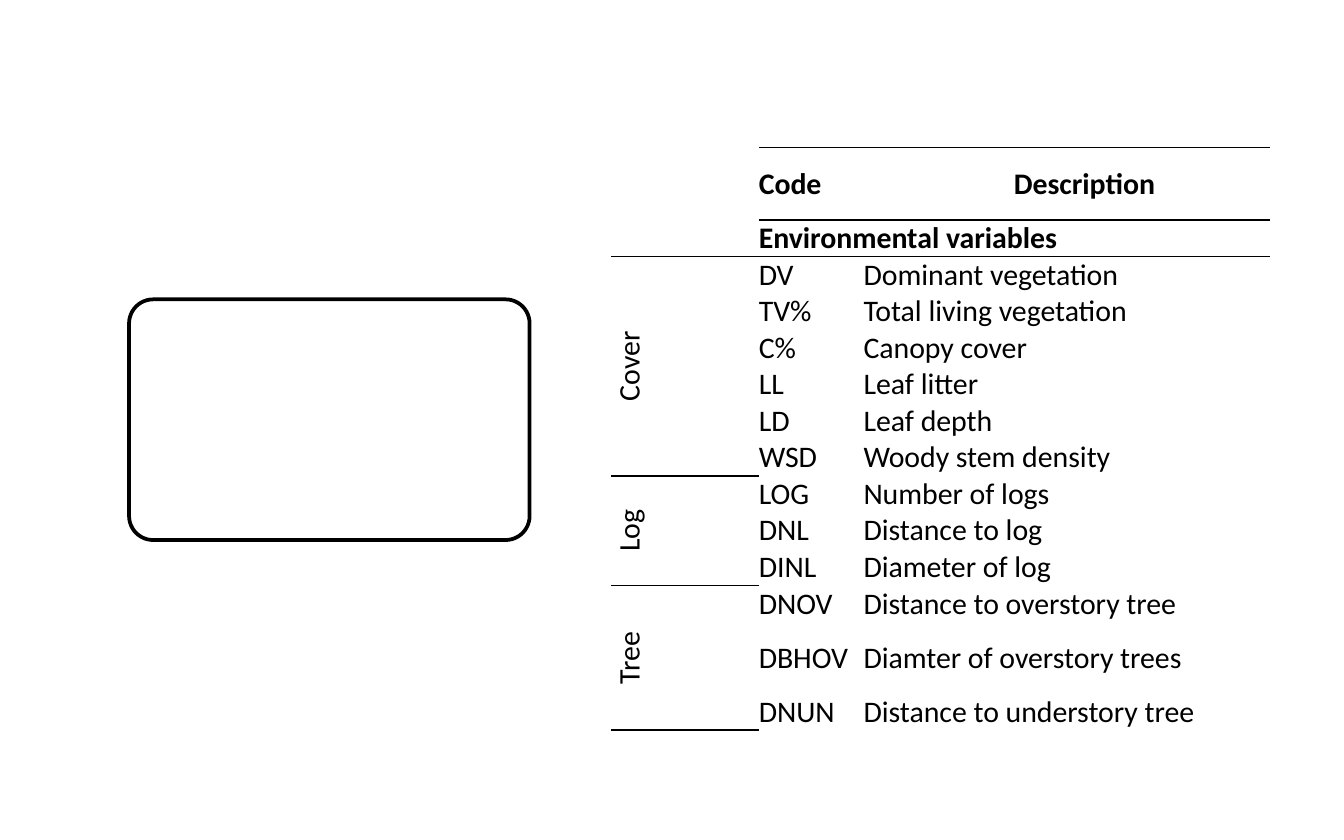
from lxml.etree import SubElement
from pptx import Presentation
from pptx.dml.color import RGBColor
from pptx.enum.shapes import MSO_SHAPE
from pptx.enum.text import MSO_ANCHOR, PP_ALIGN
from pptx.oxml.ns import qn
from pptx.util import Cm, Pt

COLORS = {"ink": "000000", "paper": "FFFFFF"}
FONT, SIZE = "Calibri", Pt(16)
PLAIN_STYLE = "{2D5ABB26-0587-4C30-8999-92F81FD0307C}"
COLUMN_WIDTHS = [2.79, 1.98, 2.84, 4.85]
ROW_HEIGHT, HEADER_HEIGHT, TALL_HEIGHT, TALL_CODE = 0.69, 1.37, 1.35, "DBHOV"
VARIABLES = {
    "Cover": [
        ("DV", "Dominant vegetation"),
        ("TV%", "Total living vegetation"),
        ("C%", "Canopy cover"),
        ("LL", "Leaf litter"),
        ("LD", "Leaf depth"),
        ("WSD", "Woody stem density"),
    ],
    "Log": [
        ("LOG", "Number of logs"),
        ("DNL", "Distance to log"),
        ("DINL", "Diameter of log"),
    ],
    "Tree": [
        ("DNOV", "Distance to overstory tree"),
        ("DBHOV", "Diamter of overstory trees"),
        ("DNUN", "Distance to understory tree"),
    ],
}


def color(name):
    """Return the named colour."""
    return RGBColor.from_string(COLORS[name])


def rule(cell, *sides):
    """Draw a one-point line on the given sides (T before B) of a cell."""
    for side in sides:
        edge = SubElement(cell._tc.get_or_add_tcPr(), qn(f"a:ln{side}"), w=str(Pt(1)))
        ink = SubElement(edge, qn("a:solidFill"))
        SubElement(ink, qn("a:srgbClr"), val=COLORS["ink"])


def write(cell, text, bold=False):
    """Write one run of table text in a cell."""
    run = cell.text_frame.paragraphs[0].add_run()
    run.text = text
    run.font.name, run.font.size, run.font.bold = FONT, SIZE, bold
    run.font.color.rgb = color("ink")


def add_header(table):
    """Fill the column titles and the section title."""
    table.cell(0, 1).merge(table.cell(0, 2))
    table.cell(1, 1).merge(table.cell(1, 3))
    write(table.cell(0, 1), "Code", bold=True)
    write(table.cell(0, 3), "Description", bold=True)
    write(table.cell(1, 1), "Environmental variables", bold=True)
    for column in range(1, 4):
        rule(table.cell(0, column), "T", "B")
        rule(table.cell(1, column), "T")
    rule(table.cell(1, 0), "B")


def add_category(table, first, category, variables):
    """Fill one category with its rotated label and its variables."""
    last = first + len(variables) - 1
    label = table.cell(first, 0)
    label.merge(table.cell(last, 0))
    write(label, category)
    label.text_frame.paragraphs[0].alignment = PP_ALIGN.CENTER
    label._tc.get_or_add_tcPr().set("vert", "vert270")
    rule(label, "T", "B")
    rule(table.cell(last, 0), "B")
    for row, (code, description) in enumerate(variables, first):
        table.cell(row, 2).merge(table.cell(row, 3))
        write(table.cell(row, 1), code)
        write(table.cell(row, 2), description)


def add_variable_table(slide, left, top, width):
    """Place the table of environmental variables."""
    codes = [code for variables in VARIABLES.values() for code, _ in variables]
    heights = [HEADER_HEIGHT, ROW_HEIGHT]
    heights += [TALL_HEIGHT if code == TALL_CODE else ROW_HEIGHT for code in codes]
    table = slide.shapes.add_table(
        len(heights), len(COLUMN_WIDTHS), Cm(left), Cm(top), Cm(width), Cm(sum(heights))
    ).table
    table.first_row = table.horz_banding = False
    table._tbl.tblPr.find(qn("a:tableStyleId")).text = PLAIN_STYLE
    for column, share in zip(table.columns, COLUMN_WIDTHS):
        column.width = Cm(width * share / sum(COLUMN_WIDTHS))
    for row, height in zip(table.rows, heights):
        row.height = Cm(height)
    add_header(table)
    first = 2
    for category, variables in VARIABLES.items():
        add_category(table, first, category, variables)
        first += len(variables)
    for cell in table.iter_cells():
        cell.margin_left = cell.margin_right = cell.margin_top = cell.margin_bottom = 0
        cell.vertical_anchor = MSO_ANCHOR.MIDDLE
        cell.fill.background()
        if not cell.text:
            paragraph = cell.text_frame.paragraphs[0]._p
            SubElement(paragraph, qn("a:endParaRPr"), sz=str(int(SIZE.pt * 100)))


def add_frame(slide, left, top, width, height):
    """Place the empty rounded frame."""
    frame = slide.shapes.add_shape(
        MSO_SHAPE.ROUNDED_RECTANGLE, Cm(left), Cm(top), Cm(width), Cm(height)
    )
    frame.adjustments[0] = 0.1
    frame.shadow.inherit = False
    frame.fill.solid()
    frame.fill.fore_color.rgb = color("paper")
    frame.line.color.rgb = color("ink")
    frame.line.width = Pt(2)


def main():
    """Build and save the slide."""
    deck = Presentation()
    deck.slide_width, deck.slide_height = Cm(25.4), Cm(15.88)
    slide = deck.slides.add_slide(deck.slide_layouts[6])
    add_variable_table(slide, 11.55, 2.79, 12.46)
    add_frame(slide, 2.44, 5.66, 7.57, 4.55)
    deck.save("out.pptx")


if __name__ == "__main__":
    main()
